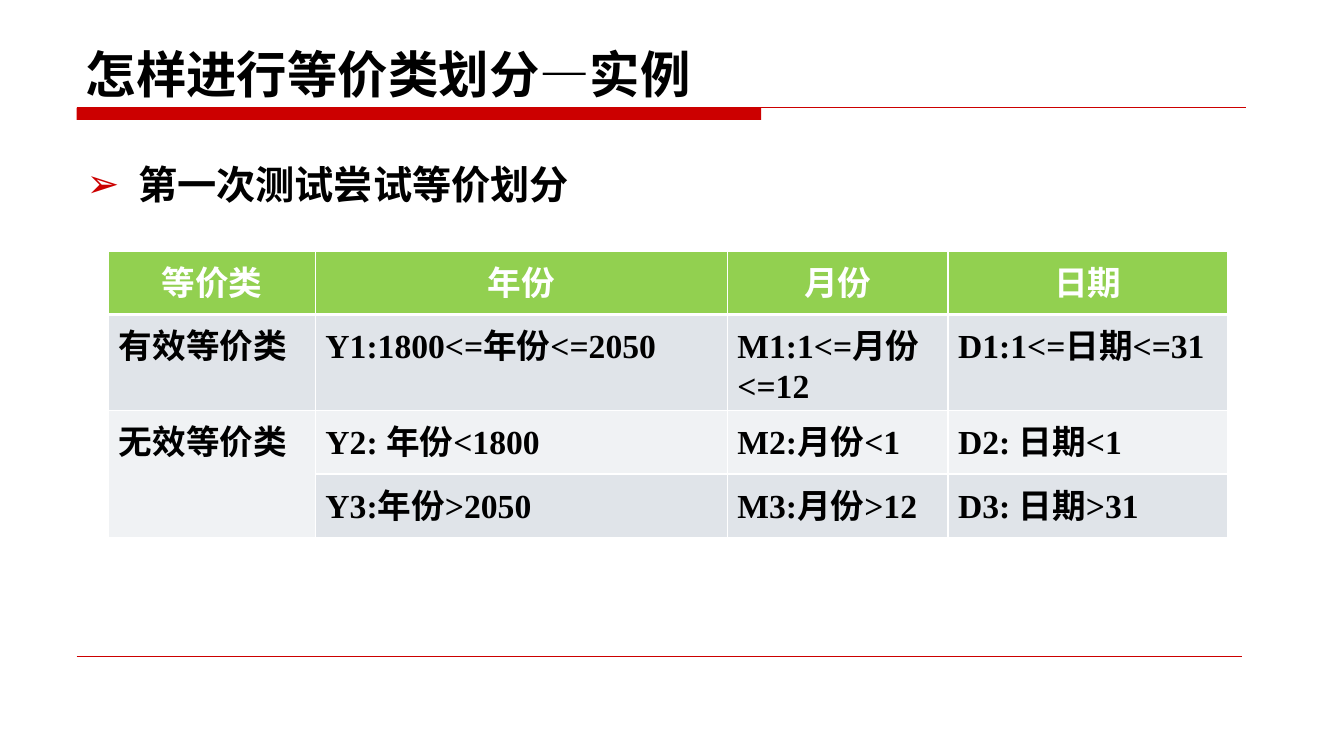
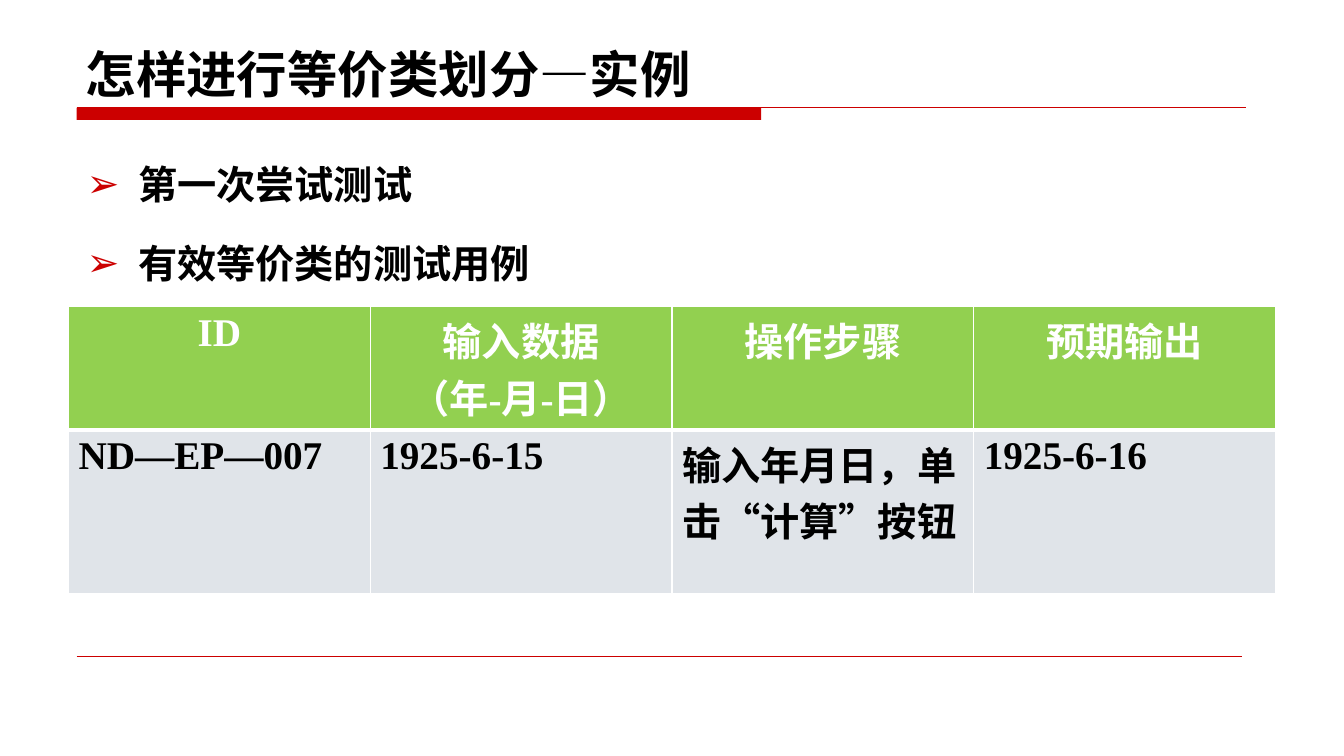
"""Build two slides on dividing test input into equivalence classes."""
from dataclasses import dataclass
from typing import Any

from lxml.etree import SubElement
from pptx import Presentation
from pptx.dml.color import RGBColor
from pptx.enum.shapes import MSO_CONNECTOR, MSO_SHAPE
from pptx.enum.text import MSO_ANCHOR, MSO_AUTO_SIZE, PP_ALIGN
from pptx.oxml import parse_xml
from pptx.oxml.ns import nsdecls, qn
from pptx.slide import Slide, SlideLayout
from pptx.table import _Cell
from pptx.text.text import TextFrame
from pptx.util import Emu, Inches, Pt


@dataclass(frozen=True)
class Theme:
    accent: str = "CC0000"
    header: str = "92D050"
    odd_row: str = "E0E4E9"
    even_row: str = "F0F2F4"
    ink: str = "000000"
    paper: str = "FFFFFF"
    heading_font: str = "Noto Sans CJK SC"
    table_font: str = "Times New Roman"
    title_size: float = 36
    body_size: float = 28
    small_size: float = 24
    border: float = 1
    header_border: float = 3


@dataclass(frozen=True)
class Box:
    left: float
    top: float
    width: float
    height: float = 0


@dataclass(frozen=True)
class Grid:
    box: Box
    columns: tuple[float, ...]
    row_heights: tuple[float, ...]
    size: float
    cells: tuple[tuple[str, ...], ...]


@dataclass(frozen=True)
class Page:
    points: tuple[str, ...]
    grid: Grid


THEME = Theme()
WIDTH, HEIGHT = Inches(13.33), Inches(7.5)
TITLE = "怎样进行等价类划分—实例"
TITLE_BOX = Box(5.63, 3.87, 87.55, 10.53)
BODY_BOX = Box(5.7, 17.47, 87.55, 62.27)
BAND_BOX = Box(5.7, 14.27, 50.94, 1.6)
RULES = ((Box(5.7, 14.27, 87.02), 0.75), (Box(5.7, 86.8, 86.72), 0.25))
PAGES = (
    Page(
        ("第一次测试尝试等价划分",),
        Grid(
            Box(8.1, 33.2, 83.27, 33.6), (2.05, 4.09, 2.19, 2.78), (8.4,) * 4, THEME.small_size,
            (
                ("等价类", "年份", "月份", "日期"),
                ("有效等价类", "Y1:1800<=年份<=2050", "M1:1<=月份<=12", "D1:1<=日期<=31"),
                ("无效等价类", "Y2: 年份<1800", "M2:月份<1", "D2: 日期<1"),
                ("", "Y3:年份>2050", "M3:月份>12", "D3: 日期>31"),
            ),
        ),
    ),
    Page(
        ("第一次尝试测试", "有效等价类的测试用例"),
        Grid(
            Box(5.1, 40.53, 89.8, 36.66), (1,) * 4, (14.93, 21.73), THEME.body_size,
            (
                ("ID", "输入数据\v（年-月-日）", "操作步骤", "预期输出"),
                ("ND—EP—007", "1925-6-15", "输入年月日，单击“计算”按钮", "1925-6-16"),
            ),
        ),
    ),
)


def across(share: float) -> Emu:
    return Emu(round(WIDTH * share / 100))


def down(share: float) -> Emu:
    return Emu(round(HEIGHT * share / 100))


def place(box: Box) -> dict[str, Emu]:
    return {"left": across(box.left), "top": down(box.top),
            "width": across(box.width), "height": down(box.height)}


def assign(target: Any, formats: dict[str, Any]) -> None:
    for key, setting in formats.items():
        setattr(target, key, setting)


def paint(fill: Any, color: str) -> None:
    fill.solid()
    fill.fore_color.rgb = RGBColor.from_string(color)


def write(frame: TextFrame, text: str, typeface: str, size: float, color: str,
          paragraph_formats: dict[str, Any]) -> None:
    frame.text = text
    for paragraph in frame.paragraphs:
        assign(paragraph, paragraph_formats)
        for run in paragraph.runs:
            assign(run.font, {"name": typeface, "size": Pt(size), "bold": True})
            run.font.color.rgb = RGBColor.from_string(color)
            east_asian = SubElement(run.font._element, qn("a:ea"))
            east_asian.set("typeface", THEME.heading_font)


def add_bullets(frame: TextFrame) -> None:
    for paragraph in frame.paragraphs:
        properties = paragraph._p.get_or_add_pPr()
        for key, length in (("marL", Inches(0.51)), ("indent", -Inches(0.51))):
            properties.set(key, str(int(length)))
        color = SubElement(SubElement(properties, qn("a:buClr")), qn("a:srgbClr"))
        color.set("val", THEME.accent)
        SubElement(properties, qn("a:buChar")).set("char", "➢")


def prepare_layout(layout: SlideLayout) -> None:
    title, body, *footers = layout.placeholders
    for footer in footers:
        layout.shapes.element.remove(footer.element)
    assign(title, place(TITLE_BOX))
    assign(body, place(BODY_BOX))


def move_frame_to_layout(slide: Slide, layout: SlideLayout) -> None:
    band = slide.shapes.add_shape(MSO_SHAPE.RECTANGLE, *place(BAND_BOX).values())
    band.shadow.inherit = False
    paint(band.fill, THEME.accent)
    band.line.fill.background()
    decorations = [band]
    for box, weight in RULES:
        y = down(box.top)
        rule = slide.shapes.add_connector(
            MSO_CONNECTOR.STRAIGHT, across(box.left), y, across(box.left + box.width), y)
        paint(rule.line.fill, THEME.accent)
        rule.line.width = Pt(weight)
        SubElement(rule.element.spPr, qn("a:effectLst"))
        decorations.append(rule)
    for decoration in decorations:
        layout.shapes.element.append(decoration.element)


def add_borders(cell: _Cell, row: int) -> None:
    top = THEME.header_border if row == 1 else THEME.border
    bottom = THEME.header_border if row == 0 else THEME.border
    weights = {"lnL": THEME.border, "lnR": THEME.border, "lnT": top, "lnB": bottom}
    properties = cell._tc.get_or_add_tcPr()
    for position, (side, weight) in enumerate(weights.items()):
        properties.insert(position, parse_xml(
            f'<a:{side} {nsdecls("a")} w="{Pt(weight)}"><a:solidFill>'
            f'<a:srgbClr val="{THEME.paper}"/></a:solidFill></a:{side}>'))


def draw_grid(slide: Slide, grid: Grid) -> None:
    table = slide.shapes.add_table(
        len(grid.cells), len(grid.columns), *place(grid.box).values()).table
    table.horz_banding = False
    for column, weight in zip(table.columns, grid.columns):
        column.width = across(grid.box.width * weight / sum(grid.columns))
    for row, height in zip(table.rows, grid.row_heights):
        row.height = down(height)
    for r, texts in enumerate(grid.cells):
        is_header = r == 0
        band_color = THEME.odd_row if r % 2 else THEME.even_row
        for c, text in enumerate(texts):
            cell = table.cell(r, c)
            paint(cell.fill, THEME.header if is_header else band_color)
            add_borders(cell, r)
            write(cell.text_frame, text, THEME.table_font, grid.size,
                  THEME.paper if is_header else THEME.ink,
                  {"alignment": PP_ALIGN.CENTER if is_header else PP_ALIGN.LEFT})
            if not text:
                table.cell(r - 1, c).merge(cell)


def draw_page(slide: Slide, page: Page) -> None:
    title, body = slide.placeholders
    write(title.text_frame, TITLE, THEME.heading_font, THEME.title_size, THEME.ink,
          {"alignment": PP_ALIGN.LEFT})
    write(body.text_frame, "\n".join(page.points), THEME.heading_font, THEME.body_size,
          THEME.ink, {"line_spacing": 1.5, "space_before": Pt(THEME.body_size * 0.2)})
    for frame, anchor in ((title.text_frame, MSO_ANCHOR.BOTTOM), (body.text_frame, MSO_ANCHOR.TOP)):
        assign(frame, {"vertical_anchor": anchor, "auto_size": MSO_AUTO_SIZE.NONE})
    add_bullets(body.text_frame)
    draw_grid(slide, page.grid)


def main() -> None:
    deck = Presentation()
    assign(deck, {"slide_width": WIDTH, "slide_height": HEIGHT})
    layout = deck.slide_layouts[1]
    prepare_layout(layout)
    slides = [deck.slides.add_slide(layout) for _ in PAGES]
    move_frame_to_layout(slides[0], layout)
    for slide, page in zip(slides, PAGES):
        draw_page(slide, page)
    deck.save("out.pptx")


main()
